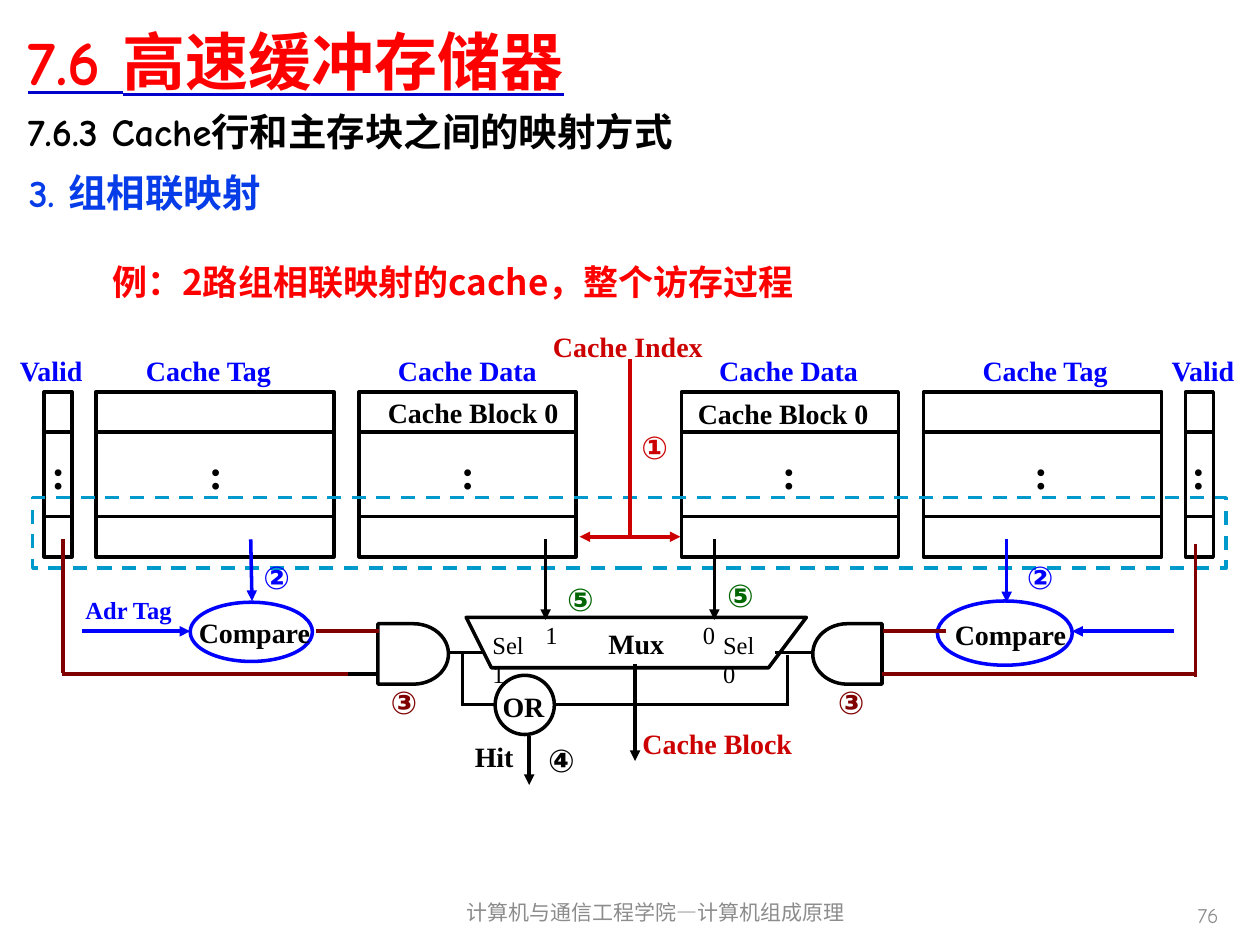
from dataclasses import dataclass

from lxml import etree
from pptx import Presentation
from pptx import util as u
from pptx.dml.color import RGBColor
from pptx.enum import dml, shapes, text
from pptx.oxml.ns import qn


@dataclass
class Theme:
    black: str = "000000"
    red: str = "FF0000"
    crim: str = "CC0000"
    maroon: str = "800000"
    blue: str = "0000FF"
    sky: str = "063DE8"
    navy: str = "0000CC"
    teal: str = "0099CC"
    green: str = "006600"
    grey: str = "8C8C8C"
    comic: str = "Comic Neue"
    serif: str = "Times New Roman"
    sans: str = "Arial"
    han: str = "Noto Sans CJK SC"
    title: int = 36
    dots: int = 24
    head: int = 22
    lead: int = 20
    step: int = 18
    label: int = 16
    small: int = 14
    foot: int = 12
    line: float = 2


T = Theme()
deck = Presentation()
deck.slide_width, deck.slide_height = u.Inches(10), u.Inches(7.5)
cell = deck.slide_width / 100  # the grid has 100 columns and 75 rows
slide = deck.slides.add_slide(deck.slide_layouts[1])
art = slide.shapes


def write(words, box, size=T.label, color=T.black, font=T.serif, bold=True,
          under=None, align="LEFT", mid=False, wrap=False, pad=(1, 0.5), hold=None):
    """Put words in a box given in grid cells, or in the placeholder hold."""
    left, top, wide, high = [int(v * cell) for v in box]
    if hold is None:
        hold = art.add_textbox(left, top, wide, high)
    hold.left, hold.top, hold.width, hold.height = left, top, wide, high
    frame = hold.text_frame
    frame.word_wrap = wrap
    frame.auto_size = text.MSO_AUTO_SIZE.NONE
    frame.vertical_anchor = text.MSO_ANCHOR.MIDDLE if mid else text.MSO_ANCHOR.TOP
    frame.margin_left = frame.margin_right = int(pad[0] * cell)
    frame.margin_top = frame.margin_bottom = int(pad[1] * cell)
    para = frame.paragraphs[0]
    para.alignment = text.PP_ALIGN[align]
    para.space_before = u.Pt(0)
    if hold.is_placeholder:
        props = para._p.get_or_add_pPr()
        props.set("marL", "0")
        props.set("indent", "0")
        etree.SubElement(props, qn("a:buNone"))
    run = para.add_run()
    run.text = words
    face = run.font
    face.size, face.bold, face.name = u.Pt(size), bold, font
    face.color.rgb = RGBColor.from_string(color)
    latin = run._r.rPr.find(qn("a:latin"))
    east = etree.Element(qn("a:ea"), typeface=T.han)
    latin.addnext(east)
    if under:
        face.underline = True
        fill = etree.Element(qn("a:uFill"))
        solid = etree.SubElement(fill, qn("a:solidFill"))
        etree.SubElement(solid, qn("a:srgbClr"), val=under)
        latin.addprevious(fill)


def wire(x1, y1, x2, y2, color=T.black, heads=()):
    """Draw a straight line between grid points; heads may hold head and tail."""
    ends = [int(v * cell) for v in (x1, y1, x2, y2)]
    link = art.add_connector(shapes.MSO_CONNECTOR.STRAIGHT, *ends)
    link.line.width = u.Pt(T.line)
    link.line.color.rgb = RGBColor.from_string(color)
    for end in heads:
        etree.SubElement(link.line._ln, qn(f"a:{end}End"), type="triangle")
    etree.SubElement(link._element.spPr, qn("a:effectLst"))


# Headings and footer
write("7.6 高速缓冲存储器", (1.2, 0.5, 96.9, 8.5), T.title, T.red, T.comic,
      under=T.navy, mid=True, wrap=True, hold=art.title)
write("7.6.3 Cache行和主存块之间的映射方式", (1.2, 8.1, 96.9, 62.3), T.head,
      font=T.comic, wrap=True, hold=slide.placeholders[1])
write("3. 组相联映射", (1.3, 12.9, 54.2, 4.7), T.head, T.sky, T.comic, wrap=True)
write("例：2路组相联映射的cache，整个访存过程", (8.9, 20.7, 77.2, 3.4), T.lead, T.red,
      T.han, wrap=True, pad=(0, 0))
write("计算机与通信工程学院—计算机组成原理", (33.5, 70.4, 37.1, 4), T.foot, T.grey,
      T.comic, bold=False, align="CENTER", mid=True, wrap=True)
write("76", (74.4, 70.6, 23.3, 4), T.foot, T.grey, T.comic, bold=False,
      align="RIGHT", mid=True, wrap=True)

# Outlines: the six memory banks, gates, comparators and the chosen set
kind = shapes.MSO_SHAPE
banks = [(3.5, 2.2), (7.6, 18.9), (28.5, 17.2), (54.1, 17.2), (73.3, 18.9), (94.1, 2.2)]
forms = [(kind.RECTANGLE, (x, 31.1, wide, 13.1), T.black) for x, wide in banks]
forms += [
    (kind.FLOWCHART_DELAY, (30, 49.5, 5.6, 4.8), T.black),
    (kind.FLOWCHART_DELAY, (64.5, 49.5, 5.5, 4.8), T.black),
    (kind.OVAL, (39.3, 53.6, 4.7, 4.7), T.black),
    (kind.OVAL, (15.1, 47.8, 9.7, 4.7), T.blue),
    (kind.OVAL, (74.4, 47.7, 10.7, 5.1), T.blue),
    (kind.RECTANGLE, (2.6, 39.5, 94.7, 5.6), T.teal),
]
drawn = [(art.add_shape(form, *[int(v * cell) for v in box]), color)
         for form, box, color in forms]
drawn[7][0].rotation = 180
drawn[-1][0].line.dash_style = dml.MSO_LINE.DASH

pen = art.build_freeform(36.8, 49.3, scale=cell)
pen.add_line_segments([(63.5, 49.3), (60.65, 52.6), (39.05, 52.6)], close=True)
drawn.append((pen.convert_to_shape(), T.black))
for item, color in drawn:
    item.shadow.inherit = False
    item.fill.background()
    item.line.width = u.Pt(T.line)
    item.line.color.rgb = RGBColor.from_string(color)

for x, wide in banks:
    for y in (34.3, 41):
        wire(x, y, x + wide, y)

# Wires
tail, head, both = ["tail"], ["head"], ["head", "tail"]
for points, color, heads in [
    ((35.6, 51.8, 38.4, 51.8), T.black, ()),
    ((64.6, 51.8, 61.5, 51.8), T.black, ()),
    ((30.1, 53.5, 27.4, 53.5), T.black, ()),
    ((36.7, 51.8, 36.7, 56), T.black, ()),
    ((36.7, 55.9, 39.2, 55.9), T.black, ()),
    ((62.5, 52, 62.5, 55.9), T.black, ()),
    ((44.1, 55.9, 62.6, 55.9), T.black, ()),
    ((42, 58.4, 42, 62.3), T.black, tail),
    ((43.3, 42.8, 43.3, 49.2), T.black, tail),
    ((56.7, 42.8, 56.7, 49.2), T.black, tail),
    ((50.4, 52.7, 50.4, 60.4), T.black, tail),
    ((50, 28.5, 50, 42.5), T.crim, ()),
    ((46, 42.6, 54, 42.6), T.crim, both),
    ((19.9, 42.8, 20, 47.7), T.blue, tail),
    ((79.9, 42.8, 79.9, 47.8), T.blue, tail),
    ((15.1, 50.1, 6.5, 50.1), T.blue, head),
    ((85.1, 50.1, 93.2, 50.1), T.blue, head),
    ((25.1, 50.1, 30.1, 50.1), T.maroon, ()),
    ((75.1, 50.1, 70.1, 50.1), T.maroon, ()),
    ((27.6, 53.5, 4.9, 53.5), T.maroon, ()),
    ((70, 53.5, 94.9, 53.5), T.maroon, ()),
    ((5, 42.8, 5, 53.4), T.maroon, ()),
    ((94.9, 43.2, 94.9, 53.7), T.maroon, ()),
]:
    wire(*points, color, heads)

# Labels
for words, x, y, wide, color in [
    ("Valid", 0.6, 27.6, 7.2, T.blue), ("Valid", 92, 27.6, 7.2, T.blue),
    ("Cache Tag", 10.6, 27.6, 12.2, T.blue), ("Cache Tag", 77, 27.6, 12.2, T.blue),
    ("Cache Data", 30.6, 27.6, 13, T.blue), ("Cache Data", 56.1, 27.6, 13, T.blue),
    ("Cache Block 0", 29.8, 30.9, 15.6, T.black),
    ("Cache Block 0", 54.4, 31, 15.6, T.black),
    ("Cache Index", 42.9, 25.7, 13.9, T.crim), ("Cache Block", 50, 57.2, 13.9, T.crim),
    ("Compare", 14.8, 48.4, 10.9, T.black), ("Compare", 74.8, 48.5, 10.9, T.black),
    ("Mux", 47.3, 49.2, 6.4, T.black), ("OR", 38.9, 54.2, 5.3, T.black),
    ("Hit", 36.7, 58.2, 5.1, T.black),
]:
    write(words, (x, y, wide, 3.6), color=color)

for x in (3.1, 15.6, 35.6, 61.1, 81.1, 93.6):
    write(":", (x, 35, 3.1, 5), T.dots)

write("Adr Tag", (5.8, 46.7, 9.1, 3.3), T.small, T.blue)
for words, x, y, wide in [("1", 42.3, 48.7, 3), ("0", 54.8, 48.7, 3),
                          ("Sel 1", 38.1, 49.5, 5), ("Sel 0", 56.4, 49.5, 5)]:
    write(words, (x, y, wide, 3.3), T.small, bold=False, wrap=len(words) > 1)

for mark, x, y, color in [
    ("①", 50.9, 34, T.crim), ("②", 20.9, 44.3, T.blue), ("②", 81.5, 44.3, T.blue),
    ("③", 31, 54.2, T.maroon), ("③", 66.5, 54.2, T.maroon), ("④", 43.5, 58.8, T.black),
    ("⑤", 45, 46, T.green), ("⑤", 57.7, 45.7, T.green),
]:
    write(mark, (x, y, 2.5, 3), T.step, color, T.sans, mid=True, pad=(0, 0))

deck.save("out.pptx")
